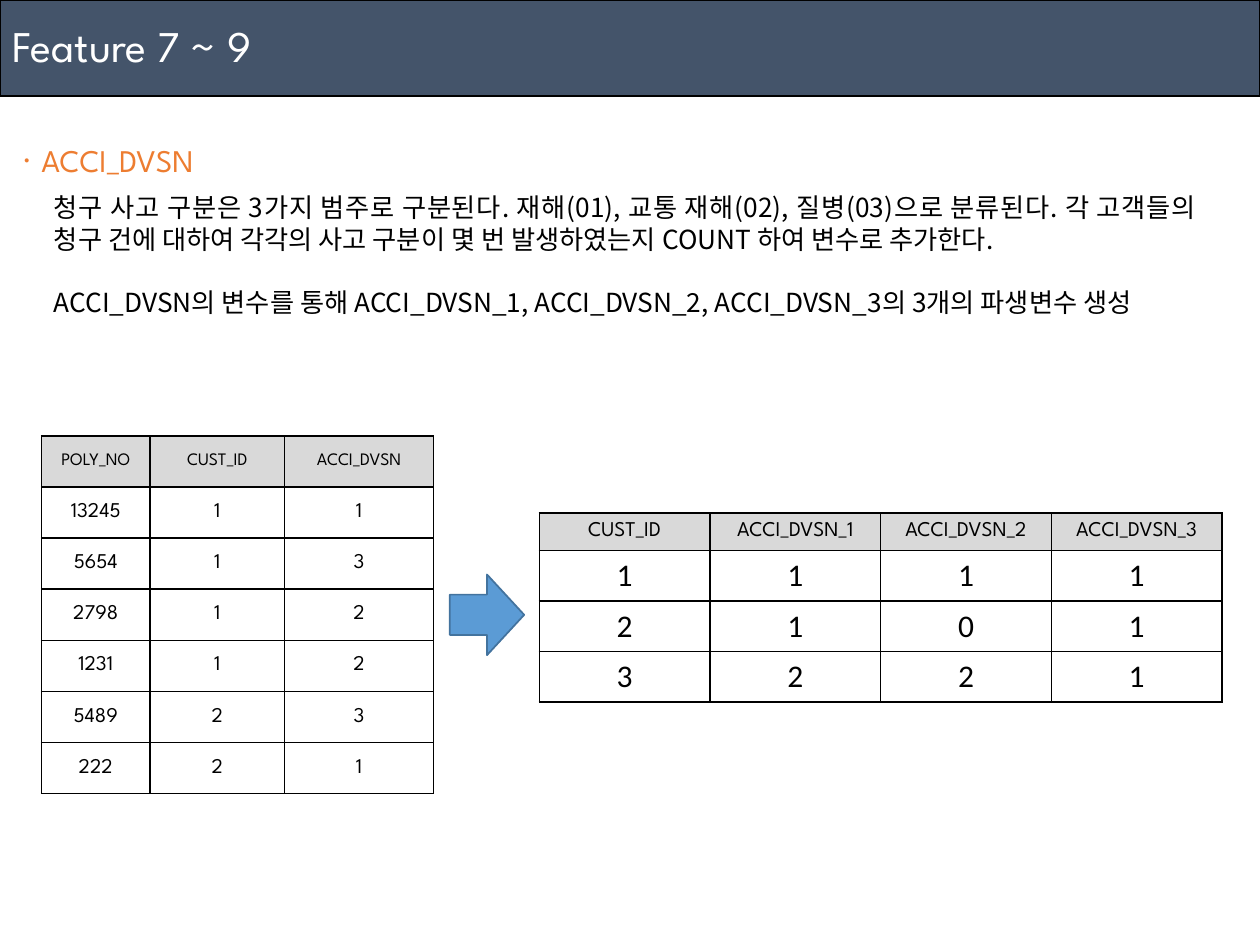
from lxml import etree
from pptx import Presentation
from pptx.dml.color import RGBColor
from pptx.enum.shapes import MSO_SHAPE as Shape
from pptx.enum.text import MSO_ANCHOR as Anchor, PP_ALIGN as Align
from pptx.oxml.ns import qn
from pptx.util import Inches, Pt

SPARTAN, KOREAN, CALIBRI = "League Spartan", "Noto Sans CJK KR", "Calibri"
BLACK, WHITE, ORANGE = "000000", "FFFFFF", "ED7D31"
NAVY, GREY, BLUE, DARK_BLUE = "44546A", "D9D9D9", "5B9BD5", "43739E"

TITLE = "Feature 7 ~ 9"
HEADING = "ㆍACCI_DVSN"
BODY = [
    "청구 사고 구분은 3가지 범주로 구분된다. 재해(01), 교통 재해(02), 질병(03)으로 분류된다. "
    "각 고객들의 청구 건에 대하여 각각의 사고 구분이 몇 번 발생하였는지 COUNT 하여 변수로 추가한다.",
    "ACCI_DVSN의 변수를 통해 ACCI_DVSN_1, ACCI_DVSN_2, ACCI_DVSN_3의 3개의 파생변수 생성",
]
CLAIMS = [
    ("POLY_NO", "CUST_ID", "ACCI_DVSN"),
    ("13245", "1", "1"),
    ("5654", "1", "3"),
    ("2798", "1", "2"),
    ("1231", "1", "2"),
    ("5489", "2", "3"),
    ("222", "2", "1"),
]
COUNTS = [
    ("CUST_ID", "ACCI_DVSN_1", "ACCI_DVSN_2", "ACCI_DVSN_3"),
    ("1", "1", "1", "1"),
    ("2", "1", "0", "1"),
    ("3", "2", "2", "1"),
]


def color(value):
    return RGBColor.from_string(value)


def style(para, size, font, ink=BLACK, align=Align.LEFT):
    para.alignment = align
    for span in para.runs:
        span.font.size, span.font.name = Pt(size), font
        span.font.color.rgb = color(ink)
        east_asian = etree.SubElement(span.font._element, qn("a:ea"))
        east_asian.set("typeface", font)


def add_block(page, kind, place, fill, line):
    block = page.shapes.add_shape(kind, *map(Inches, place))
    block.shadow.inherit = False
    block.fill.solid()
    block.fill.fore_color.rgb = color(fill)
    block.line.color.rgb = color(line)
    block.line.width = Pt(1)


def add_text(page, place, lines, anchor=Anchor.TOP):
    box = page.shapes.add_textbox(*map(Inches, place))
    frame = box.text_frame
    frame.word_wrap = True
    frame.vertical_anchor = anchor
    frame.text = "\n".join(lines)
    return frame.paragraphs


def add_borders(cell):
    properties = cell._tc.get_or_add_tcPr()
    for index, side in enumerate(("lnL", "lnR", "lnT", "lnB")):
        line = etree.Element(qn(f"a:{side}"), w=str(Pt(1)))
        fill = etree.SubElement(line, qn("a:solidFill"))
        etree.SubElement(fill, qn("a:srgbClr"), val=BLACK)
        properties.insert(index, line)


def add_grid(page, rows, left, top, widths, heights, head_size, size, font, anchor):
    place = map(Inches, (left, top, sum(widths), sum(heights)))
    table = page.shapes.add_table(len(rows), len(widths), *place).table
    for column, width in zip(table.columns, widths):
        column.width = Inches(width)
    for number, (row, height, values) in enumerate(zip(table.rows, heights, rows)):
        row.height = Inches(height)
        head = number == 0
        for cell, value in zip(row.cells, values):
            cell.text = value
            cell.vertical_anchor = Anchor.MIDDLE if head else anchor
            cell.fill.solid()
            cell.fill.fore_color.rgb = color(GREY if head else WHITE)
            style(cell.text_frame.paragraphs[0], head_size if head else size,
                  SPARTAN if head else font, align=Align.CENTER)
            add_borders(cell)


def main():
    """Build the slide on accident type counts."""
    deck = Presentation()
    deck.slide_width, deck.slide_height = Inches(10), Inches(7.5)
    page = deck.slides.add_slide(deck.slide_layouts[6])

    banner = (0, 0, 10, 0.76)
    add_block(page, Shape.RECTANGLE, banner, NAVY, BLACK)
    title = add_text(page, banner, [TITLE], Anchor.MIDDLE)[0]
    title.line_spacing = 0.9
    style(title, 25, SPARTAN, WHITE)

    heading = add_text(page, (0, 0.76, 10, 0.71), [HEADING], Anchor.BOTTOM)[0]
    style(heading, 18, SPARTAN, ORANGE)

    body = add_text(page, (0.33, 1.47, 9.26, 1.11), BODY)
    for para in body:
        para.line_spacing = Pt(18)
        style(para, 15, KOREAN, align=Align.JUSTIFY)
    body[1].space_before = Pt(18)

    add_grid(page, CLAIMS, 0.33, 3.46, [0.86, 1.07, 1.18], [2.84 / 7] * 7,
             10, 12, SPARTAN, Anchor.MIDDLE)
    add_block(page, Shape.RIGHT_ARROW, (3.57, 4.56, 0.59, 0.64), BLUE, DARK_BLUE)
    add_grid(page, COUNTS, 4.28, 4.07, [5.42 / 4] * 4, [0.3] + [0.4] * 3,
             12, 18, CALIBRI, Anchor.TOP)

    deck.save("out.pptx")


if __name__ == "__main__":
    main()
